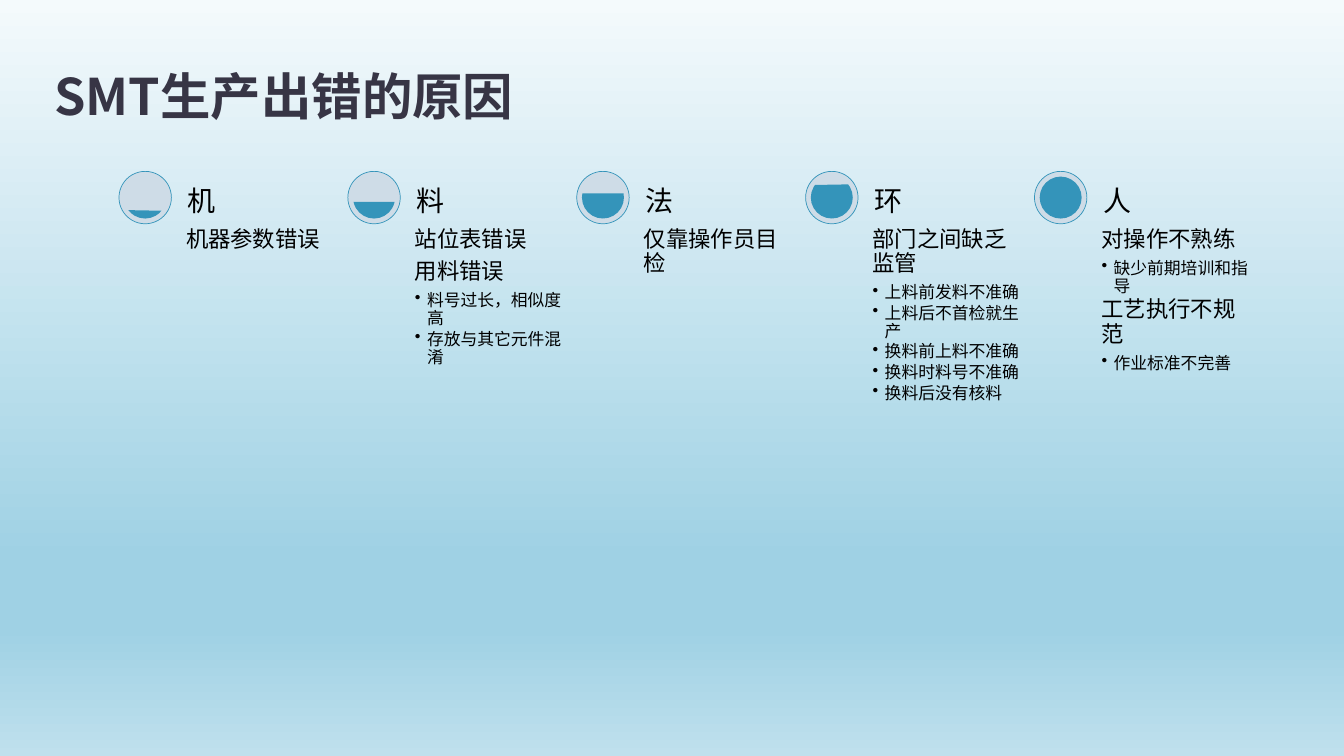
from lxml import etree
from pptx import Presentation, util as u
from pptx.dml.color import RGBColor
from pptx.enum import shapes, text
from pptx.oxml import ns

# Columns: character, start and end angle of the fill level, (indent level, text)
CAUSES = [
    ("机", (38.87, 143.13), [(0, "机器参数错误")]),
    ("料", (11.54, 168.46), [(0, "站位表错误"), (0, "用料错误"),
                            (1, "料号过长，相似度高"), (1, "存放与其它元件混淆")]),
    ("法", (348.46, 191.54), [(0, "仅靠操作员目检")]),
    ("环", (321.13, 216.87), [(0, "部门之间缺乏监管"), (1, "上料前发料不准确"),
                             (1, "上料后不首检就生产"), (1, "换料前上料不准确"),
                             (1, "换料时料号不准确"), (1, "换料后没有核料")]),
    ("人", (270, 270), [(0, "对操作不熟练"), (1, "缺少前期培训和指导"),
                       (0, "工艺执行不规范"), (1, "作业标准不完善")]),
]


def color(value):
    return RGBColor.from_string(value)


class CauseSlide:
    """Style and current slide; lengths are cells of a grid with ten cells per inch."""
    CELL = u.Inches(0.1)
    FONT = "Noto Sans CJK SC"
    ACCENT, PALE, INK, TITLE = "3494BA", "CEDCE7", "000000", "373545"

    def __init__(self, presentation):
        self.slide = presentation.slides.add_slide(presentation.slide_layouts[5])

    def cells(self, *lengths):
        return [round(length * self.CELL) for length in lengths]

    def background(self, stops):
        fill = self.slide.background.fill
        fill.gradient()
        fill.gradient_angle = 270
        stop_list = self.slide.element.find(".//" + ns.qn("a:gsLst"))
        stop_list.clear()
        for percent, value in stops:
            stop = etree.SubElement(stop_list, ns.qn("a:gs"), pos=str(percent * 1000))
            etree.SubElement(stop, ns.qn("a:srgbClr"), val=value)

    def run(self, paragraph, content, size, value, bold=False):
        run = paragraph.add_run()
        run.text = content
        font = run.font
        font.size, font.bold, font.name = u.Pt(size), bold, self.FONT
        font.color.rgb = color(value)
        etree.SubElement(run._r.get_or_add_rPr(), ns.qn("a:ea"), typeface=self.FONT)

    def title(self, content, *box):
        shape = self.slide.shapes.title
        shape.left, shape.top, shape.width, shape.height = self.cells(*box)
        frame = shape.text_frame
        frame.vertical_anchor = text.MSO_ANCHOR.BOTTOM
        paragraph = frame.paragraphs[0]
        paragraph.alignment = text.PP_ALIGN.LEFT
        self.run(paragraph, content, 36, self.TITLE, bold=True)

    def shape(self, kind, value, *box, line=None):
        shape = self.slide.shapes.add_shape(kind, *self.cells(*box))
        shape.shadow.inherit = False
        shape.fill.solid()
        shape.fill.fore_color.rgb = color(value)
        if line:
            shape.line.color.rgb = color(line)
            shape.line.width = u.Pt(0.5)
        else:
            shape.line.fill.background()
        return shape

    def dial(self, left, top, size, angles):
        inset = size / 10
        self.shape(shapes.MSO_SHAPE.OVAL, self.PALE, left, top, size, size,
                   line=self.ACCENT)
        level = self.shape(shapes.MSO_SHAPE.CHORD, self.ACCENT, left + inset,
                           top + inset, size - 2 * inset, size - 2 * inset)
        for index, angle in enumerate(angles):
            level.adjustments[index] = angle * 0.6  # 60000 units per degree

    def bullet(self, paragraph):
        properties = paragraph._p.get_or_add_pPr()
        indent = u.Inches(0.12)
        properties.set("marL", str(indent))
        properties.set("indent", str(-indent))
        etree.SubElement(properties, ns.qn("a:buChar"), char="•")

    def text(self, items, sizes, inset, anchor, *box):
        frame = self.slide.shapes.add_textbox(*self.cells(*box)).text_frame
        frame.word_wrap = True
        frame.vertical_anchor = anchor
        margin = self.cells(inset)[0]
        frame.margin_left = frame.margin_right = margin
        frame.margin_top = frame.margin_bottom = margin
        for index, (level, content) in enumerate(items):
            paragraph = frame.add_paragraph() if index else frame.paragraphs[0]
            size = sizes[level]
            paragraph.level = level
            paragraph.line_spacing = 0.9
            paragraph.space_after = u.Pt(size * (0.15 if level else 0.35))
            if level:
                self.bullet(paragraph)
            self.run(paragraph, content, size, self.INK)


def main():
    presentation = Presentation()
    presentation.slide_width = u.Inches(13.33)
    presentation.slide_height = u.Inches(7.5)
    page = CauseSlide(presentation)

    # Background and title
    page.background([(0, "F4FAFC"), (74, "9FD1E4"), (83, "9FD1E4"), (100, "BFE0ED")])
    page.title("SMT生产出错的原因", 4.4, 1.3, 120, 11.7)

    # One column per cause: dial, details, heading
    first, pitch, top, dial, width = 11.8, 22.7, 17, 5.2, 15.4
    for index, (heading, angles, details) in enumerate(CAUSES):
        left = first + index * pitch
        text_left = left + 6.25
        page.dial(left, top, dial, angles)
        page.text(details, (16, 12), 0.4, text.MSO_ANCHOR.TOP,
                  text_left, top + dial, width, 21.8)
        page.text([(0, heading)], (20,), 0.6, text.MSO_ANCHOR.BOTTOM,
                  text_left, top, width, dial)

    presentation.save("out.pptx")


if __name__ == "__main__":
    main()
